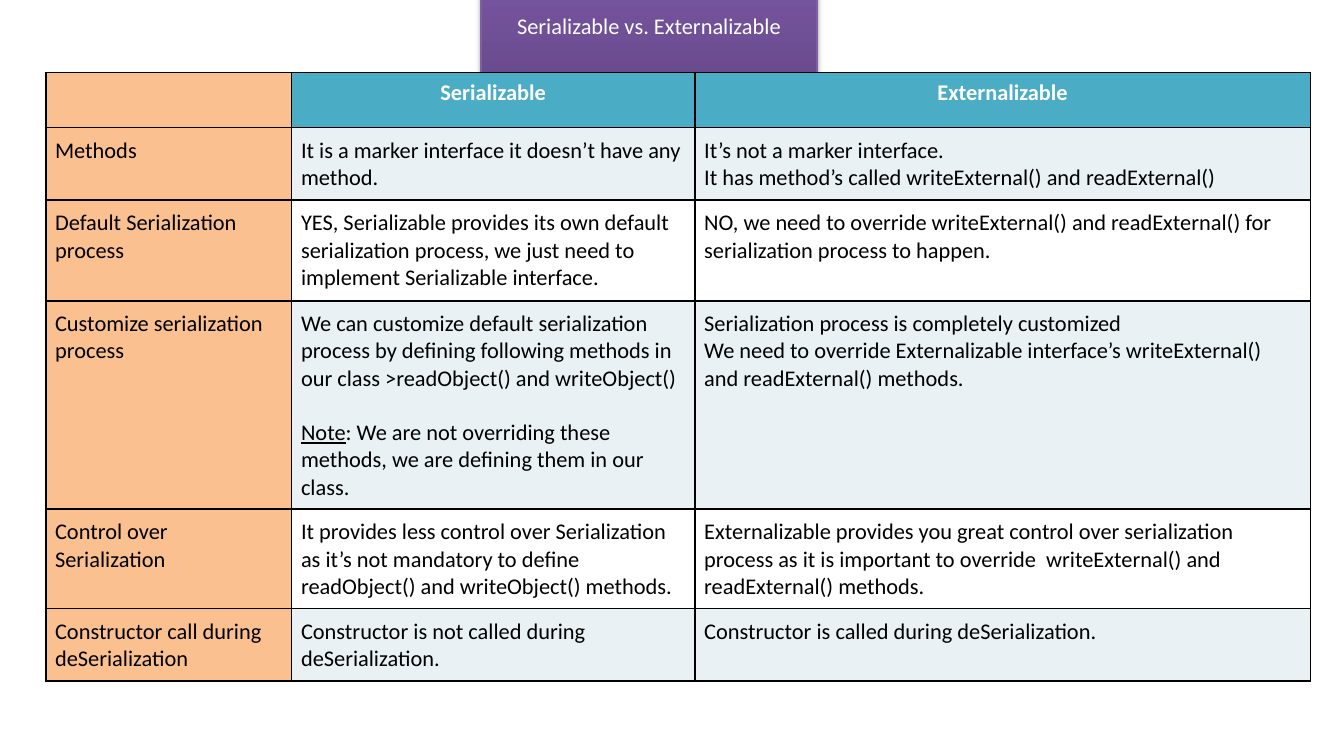
from copy import deepcopy

from lxml.etree import SubElement
from pptx import Presentation
from pptx.dml.color import RGBColor
from pptx.enum.text import MSO_ANCHOR, MSO_AUTO_SIZE, PP_ALIGN
from pptx.oxml.ns import qn
from pptx.util import Inches, Pt

# Content: cells hold one or more paragraphs
TITLE = "Serializable vs. Externalizable"
NOTE = "Note"
ROWS = [
    [[""], ["Serializable"], ["Externalizable"]],
    [["Methods"],
     ["It is a marker interface it doesn’t have any method."],
     ["It’s not a marker interface.",
      "It has method’s called writeExternal() and readExternal()"]],
    [["Default Serialization process"],
     ["YES, Serializable provides its own default serialization process, "
      "we just need to implement Serializable interface."],
     ["NO, we need to override writeExternal() and readExternal() for "
      "serialization process to happen."]],
    [["Customize serialization process"],
     ["We can customize default serialization process by defining following "
      "methods in our class >readObject() and writeObject()",
      "Note: We are not overriding these methods, we are defining them in our class."],
     ["Serialization process is completely customized",
      "We need to override Externalizable interface’s writeExternal() and "
      "readExternal() methods."]],
    [["Control over Serialization"],
     ["It provides less control over Serialization as it’s not mandatory to "
      "define readObject() and writeObject() methods."],
     ["Externalizable provides you great control over serialization process "
      "as it is important to override  writeExternal() and readExternal() methods."]],
    [["Constructor call during deSerialization"],
     ["Constructor is not called during deSerialization."],
     ["Constructor is called during deSerialization."]],
]
COLUMN_WIDTHS = [1.83, 3, 4.58]
ROW_HEIGHTS = [0.41, 0.54, 0.75, 1.55, 0.74, 0.54]
TITLE_GRADIENT = [(0, "5F4480"), (0.8, "7B58A6"), (1, "7C57A8")]
LABEL_FILL, HEADER_FILL = "FAC090", "4BACC6"
BAND_FILLS = ["FFFFFF", "E9F1F5"]


def color(hex_string):
    return RGBColor.from_string(hex_string)


def format_font(font, hex_string, bold=False):
    font.name, font.size, font.bold = "Calibri", Pt(12), bold
    font.color.rgb = color(hex_string)


def add_shadow(shape):
    effects = SubElement(shape._element.spPr, qn("a:effectLst"))
    shadow = SubElement(effects, qn("a:outerShdw"), blurRad=str(Pt(3.1)),
                        dist=str(Pt(1.8)), dir="5400000", rotWithShape="0")
    black = SubElement(shadow, qn("a:srgbClr"), val="000000")
    SubElement(black, qn("a:alpha"), val="35000")


def add_borders(cell):
    properties = cell._tc.get_or_add_tcPr()
    for position, side in enumerate(("lnL", "lnR", "lnT", "lnB")):
        line = SubElement(properties, qn(f"a:{side}"), w=str(Pt(1)))
        fill = SubElement(line, qn("a:solidFill"))
        SubElement(fill, qn("a:srgbClr"), val="000000")
        properties.insert(position, line)


def fill_title(title):
    title.left, title.top = Inches(3.58), Inches(0.04)
    title.width, title.height = Inches(2.5), Inches(0.3)
    title.line.color.rgb = color("7D60A0")
    title.line.width = Pt(0.75)
    title.fill.gradient()
    title.fill.gradient_angle = 90
    stop_list = title._element.spPr.find(".//" + qn("a:gsLst"))
    stop_list.append(deepcopy(stop_list[-1]))
    for stop, (position, hex_string) in zip(title.fill.gradient_stops, TITLE_GRADIENT):
        stop.position = position
        stop.color.rgb = color(hex_string)
    add_shadow(title)
    frame = title.text_frame
    frame.text = TITLE
    frame.auto_size = MSO_AUTO_SIZE.SHAPE_TO_FIT_TEXT
    frame.vertical_anchor = MSO_ANCHOR.MIDDLE
    frame.paragraphs[0].alignment = PP_ALIGN.CENTER
    format_font(frame.paragraphs[0].runs[0].font, "FFFFFF")


def fill_cell(cell, texts, row, column):
    header = row == 0
    if column == 0:
        cell_fill = LABEL_FILL
    else:
        cell_fill = HEADER_FILL if header else BAND_FILLS[row % 2]
    cell.fill.solid()
    cell.fill.fore_color.rgb = color(cell_fill)
    add_borders(cell)
    if not header:
        cell.margin_left = cell.margin_right = Inches(0.07)
        cell.margin_top = cell.margin_bottom = Inches(0.07)

    cell.text_frame.text = "\n".join(texts)
    for paragraph in cell.text_frame.paragraphs:
        paragraph.alignment = PP_ALIGN.CENTER if header else PP_ALIGN.LEFT
        if paragraph.text.startswith(NOTE):
            rest = paragraph.text[len(NOTE):]
            paragraph.text = NOTE
            paragraph.runs[0].font.underline = True
            paragraph.add_run().text = rest
            paragraph.space_before = Pt(14.6)
        for run in paragraph.runs:
            format_font(run.font, "FFFFFF" if header else "000000", header)


presentation = Presentation()
presentation.slide_width, presentation.slide_height = Inches(10), Inches(5.5)
slide = presentation.slides.add_slide(presentation.slide_layouts[5])
fill_title(slide.shapes.title)

# Comparison table
table = slide.shapes.add_table(
    len(ROWS), len(COLUMN_WIDTHS), Inches(0.34), Inches(0.54),
    Inches(sum(COLUMN_WIDTHS)), Inches(sum(ROW_HEIGHTS))).table
for table_column, width in zip(table.columns, COLUMN_WIDTHS):
    table_column.width = Inches(width)
for table_row, height in zip(table.rows, ROW_HEIGHTS):
    table_row.height = Inches(height)
for row, cells in enumerate(ROWS):
    for column, texts in enumerate(cells):
        fill_cell(table.cell(row, column), texts, row, column)

presentation.save("out.pptx")
